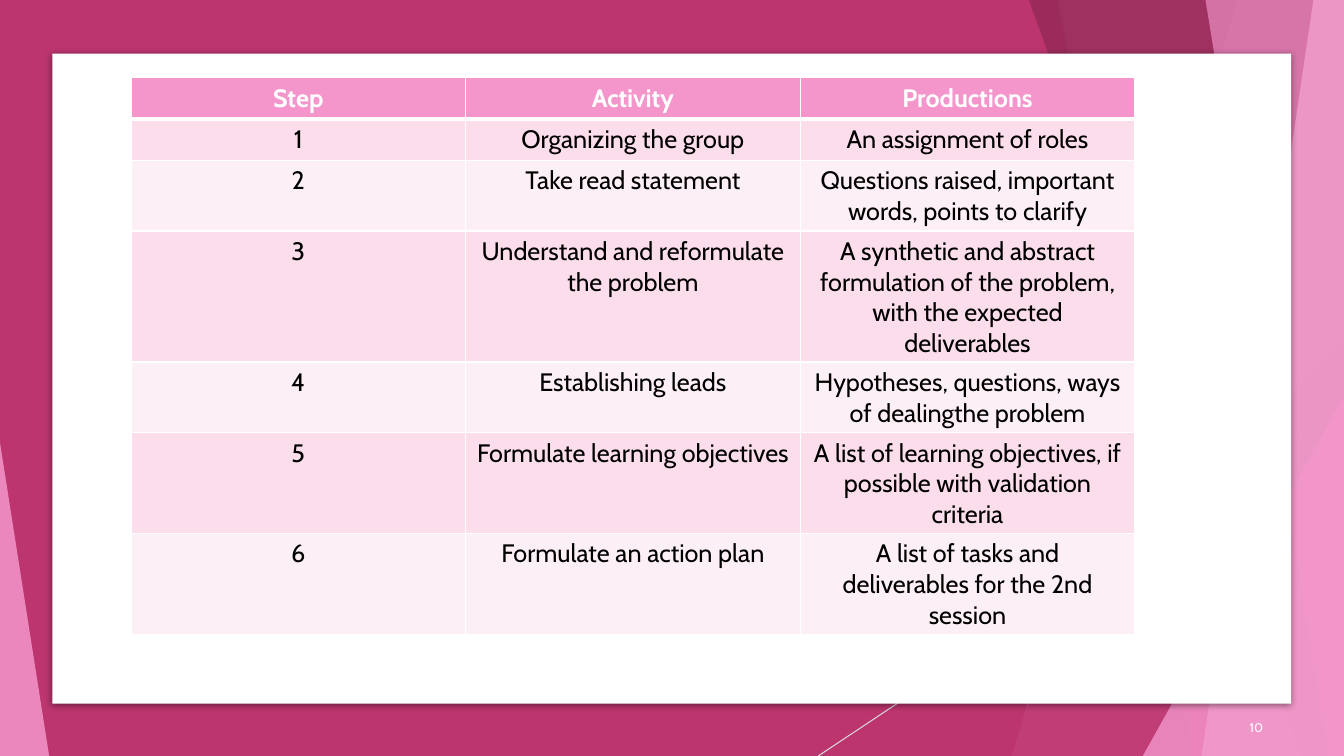
from dataclasses import dataclass

from lxml import etree
from pptx import Presentation
from pptx import util as u
from pptx.dml import color
from pptx.enum import shapes, text
from pptx.oxml import ns


@dataclass(frozen=True)
class Theme:
    """Colours, font and type sizes of the slide."""

    font: str = "Cabin"
    table_size: int = 18
    number_size: int = 9
    backdrop: str = "BC356F"
    dark: str = "8D2853"
    pink: str = "F496CB"
    pale: str = "F8C0E0"
    line: str = "D9D9D9"
    white: str = "FFFFFF"
    black: str = "000000"
    bands: tuple = ("FBDDEC", "FDEFF6")


@dataclass(frozen=True)
class Box:
    """A rectangle measured in centimetres."""

    left: float
    top: float
    width: float
    height: float

    def inner(self, left, top, width, height):
        """Return a box placed relative to this one."""
        return Box(self.left + left, self.top + top, width, height)

    def lengths(self):
        """Return the four measures as slide lengths."""
        return [u.Cm(value) for value in (self.left, self.top, self.width, self.height)]


THEME = Theme()
PAGE = Box(0, 0, 33.87, 19.05)
HEADINGS = ("Step", "Activity", "Productions")
STEPS = (
    ("Organizing the group", "An assignment of roles"),
    ("Take read statement", "Questions raised, important words, points to clarify"),
    ("Understand and reformulate the problem",
     "A synthetic and abstract formulation of the problem, with the expected deliverables"),
    ("Establishing leads", "Hypotheses, questions, ways of dealingthe problem"),
    ("Formulate learning objectives",
     "A list of learning objectives, if possible with validation criteria"),
    ("Formulate an action plan", "A list of tasks and deliverables for the 2nd session"),
)


def rgb(value):
    """Turn a hex string into a colour."""
    return color.RGBColor.from_string(value)


def add_child(parent, tag, **attributes):
    """Append a DrawingML element to its parent."""
    return etree.SubElement(parent, ns.qn(tag), {k: str(v) for k, v in attributes.items()})


def paint(shape, fill, opacity=100):
    """Give a shape a flat fill without outline or shadow."""
    shape.shadow.inherit = False
    shape.line.fill.background()
    shape.fill.solid()
    shape.fill.fore_color.rgb = rgb(fill)
    if opacity < 100:
        tint = shape.element.spPr.find(ns.qn("a:solidFill"))[0]
        add_child(tint, "a:alpha", val=opacity * 1000)


def style_paragraph(paragraph, alignment, size, tint, bold=False):
    """Set the alignment and font of a paragraph."""
    paragraph.alignment = alignment
    paragraph.font.name = THEME.font
    paragraph.font.size = u.Pt(size)
    paragraph.font.bold = bold
    paragraph.font.color.rgb = rgb(tint)


def add_shard(slide, box, top_left, bottom_left, fill, opacity):
    """Draw a full-height facet that reaches the right edge of the box."""
    right, bottom = box.left + box.width, box.top + box.height
    corners = [(box.left + top_left, box.top), (right, box.top),
               (right, bottom), (box.left + bottom_left, bottom)]
    points = [(u.Cm(x), u.Cm(y)) for x, y in corners]
    builder = slide.shapes.build_freeform(*points[0])
    builder.add_line_segments(points[1:], close=True)
    paint(builder.convert_to_shape(), fill, opacity)


def add_triangle(slide, box, apex, fill, opacity):
    """Draw a triangle whose apex sits at a share of the box width."""
    shape = slide.shapes.add_shape(shapes.MSO_SHAPE.ISOSCELES_TRIANGLE, *box.lengths())
    shape.adjustments[0] = apex
    paint(shape, fill, opacity)


def add_backdrop(slide, box):
    """Draw the coloured ground with its facets."""
    ground = slide.shapes.add_shape(shapes.MSO_SHAPE.RECTANGLE, *box.lengths())
    paint(ground, THEME.backdrop)
    right, bottom = box.left + box.width, box.top + box.height
    ray = slide.shapes.add_connector(
        shapes.MSO_CONNECTOR.STRAIGHT,
        u.Cm(right), u.Cm(box.top + 10.24), u.Cm(box.left + 20.62), u.Cm(bottom))
    ray.line.color.rgb = rgb(THEME.line)
    ray.line.width = u.Pt(0.75)
    add_child(ray.element.spPr, "a:effectLst")

    add_shard(slide, box, 31.19, 25.5, THEME.pink, 30)
    add_shard(slide, box, 26.67, 30.05, THEME.pink, 20)
    add_triangle(slide, box.inner(24.82, 8.46, 9.05, 10.59), 1, THEME.backdrop, 72)
    add_shard(slide, box, 25.93, 32.79, THEME.dark, 70)
    add_shard(slide, box, 33.1, 30.28, THEME.pale, 70)
    add_shard(slide, box, 30.38, 33.48, THEME.pink, 65)
    add_triangle(slide, box.inner(28.8, 9.98, 5.07, 9.07), 1, THEME.pink, 80)
    add_triangle(slide, box.inner(0, 11.15, 1.24, 7.9), 0, THEME.pink, 85)


def add_panel(slide, box):
    """Draw the white panel with its soft shadow."""
    panel = slide.shapes.add_shape(shapes.MSO_SHAPE.RECTANGLE, *box.lengths())
    paint(panel, THEME.white)
    effects = panel.element.spPr.find(ns.qn("a:effectLst"))
    shadow = add_child(effects, "a:outerShdw", blurRad=u.Pt(5), dist=u.Pt(1.4),
                       dir=90 * 60000, algn="ctr", rotWithShape=0)
    add_child(add_child(shadow, "a:srgbClr", val=THEME.black), "a:alpha", val=43000)


def add_slide_number(slide, box, number):
    """Write the slide number."""
    frame = slide.shapes.add_textbox(*box.lengths()).text_frame
    frame.word_wrap = True
    frame.vertical_anchor = text.MSO_ANCHOR.MIDDLE
    paragraph = frame.paragraphs[0]
    paragraph.text = str(number)
    style_paragraph(paragraph, text.PP_ALIGN.RIGHT, THEME.number_size, THEME.white)
    paragraph.space_after = u.Pt(6)


def add_borders(cell, top, bottom):
    """Give a cell white borders, with the top and bottom widths in points."""
    properties = cell._tc.get_or_add_tcPr()
    for side, width in (("L", 1), ("R", 1), ("T", top), ("B", bottom)):
        border = add_child(properties, f"a:ln{side}", w=u.Pt(width))
        add_child(add_child(border, "a:solidFill"), "a:srgbClr", val=THEME.white)


def add_steps_table(slide, box):
    """Fill the table of steps, activities and productions."""
    rows = [HEADINGS] + [(str(i), *step) for i, step in enumerate(STEPS, 1)]
    frame = slide.shapes.add_table(len(rows), len(HEADINGS), *box.lengths())
    for i, values in enumerate(rows):
        header = i == 0
        fill = THEME.pink if header else THEME.bands[(i - 1) % 2]
        for j, value in enumerate(values):
            cell = frame.table.cell(i, j)
            add_borders(cell, 3 if i == 1 else 1, 3 if header else 1)
            cell.fill.solid()
            cell.fill.fore_color.rgb = rgb(fill)
            cell.text = value
            style_paragraph(cell.text_frame.paragraphs[0], text.PP_ALIGN.CENTER,
                            THEME.table_size, THEME.white if header else THEME.black, header)


def main():
    """Build the slide and save it."""
    presentation = Presentation()
    presentation.slide_width = u.Cm(PAGE.width)
    presentation.slide_height = u.Cm(PAGE.height)
    slide = presentation.slides.add_slide(presentation.slide_layouts[6])
    panel = PAGE.inner(1.32, 1.35, 31.22, 16.38)
    add_backdrop(slide, PAGE)
    add_panel(slide, panel)
    add_slide_number(slide, PAGE.inner(30.18, 17.81, 1.9, 1.02), 10)
    add_steps_table(slide, panel.inner(1.98, 0.61, 25.3, 7.28))
    presentation.save("out.pptx")


if __name__ == "__main__":
    main()
